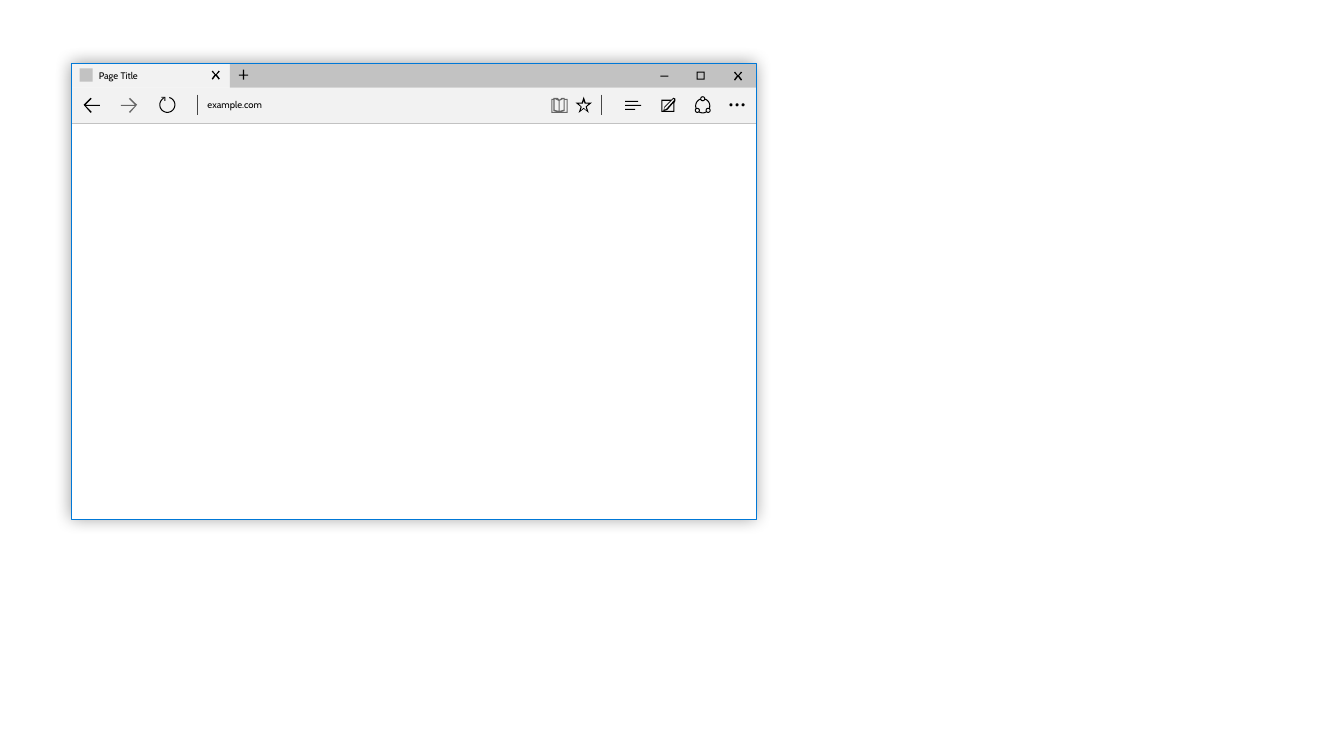
from math import cos, radians, sin

from lxml.etree import SubElement
from pptx import Presentation
from pptx.dml.color import RGBColor
from pptx.enum.shapes import MSO_CONNECTOR, MSO_SHAPE
from pptx.enum.text import MSO_ANCHOR, PP_ALIGN
from pptx.oxml.ns import qn
from pptx.util import Inches, Pt

BLACK = RGBColor(0x00, 0x00, 0x00)
WHITE = RGBColor(0xFF, 0xFF, 0xFF)
BAR = RGBColor(0xF2, 0xF2, 0xF2)
STRIP = RGBColor(0xC2, 0xC2, 0xC2)
MUTED = RGBColor(0x66, 0x66, 0x66)
DIVIDER = RGBColor(0x46, 0x46, 0x46)
ACCENT = RGBColor(0x00, 0x78, 0xD7)

LEFT, TOP, WIDTH, HEIGHT = 0.71, 0.63, 6.79, 4.52
STRIP_H, BAR_H, TAB_W = 0.24, 0.35, 1.57
BAR_TOP = TOP + STRIP_H
BAR_BOTTOM = BAR_TOP + BAR_H


def box(x1, y1, x2, y2):
    """Corner points of a rectangle."""
    return [(x1, y1), (x2, y1), (x2, y2), (x1, y2)]


def move(points, dx, dy):
    """Shift points by an offset."""
    return [(x + dx, y + dy) for x, y in points]


def arc(cx, cy, diameter, start=0, end=360):
    """Points along a circular arc, angles in degrees clockwise."""
    steps = 24
    angles = [radians(start + (end - start) * i / steps) for i in range(steps + 1)]
    return [(cx + diameter / 2 * cos(a), cy + diameter / 2 * sin(a)) for a in angles]


def band(cx, cy, diameter, start=0, end=360, thick=0.01):
    """Outline of a thin arc centred on the given diameter."""
    outer = arc(cx, cy, diameter + thick, start, end)
    return outer + arc(cx, cy, diameter - thick, end, start)


class Window:
    """Style and drawing methods for the browser window."""

    font = "Cabin"
    size = Pt(6.8)
    hairline = Pt(0.5)

    def __init__(self, s):
        """Collect the window in one group on the slide."""
        self.shapes = s.shapes.add_group_shape().shapes

    def paint(self, sp, fill=None, line=None):
        """Set fill and line, and drop the theme shadow."""
        sp.shadow.inherit = False
        if fill is None:
            sp.fill.background()
        else:
            sp.fill.solid()
            sp.fill.fore_color.rgb = fill
        if line is None:
            sp.line.fill.background()
        else:
            sp.line.color.rgb = line
            sp.line.width = self.hairline
        return sp

    def rect(self, x, y, w, h, fill=None, line=None):
        """Add a rectangle."""
        sp = self.shapes.add_shape(MSO_SHAPE.RECTANGLE, Inches(x), Inches(y), Inches(w), Inches(h))
        return self.paint(sp, fill, line)

    def glow(self, sp):
        """Give a shape a soft shadow on all sides."""
        effects = sp._element.spPr.find(qn("a:effectLst"))
        shadow = SubElement(effects, qn("a:outerShdw"), blurRad=str(Pt(12)), dist="0",
                            algn="ctr", rotWithShape="0")
        color = SubElement(shadow, qn("a:srgbClr"), val=str(BLACK))
        SubElement(color, qn("a:alpha"), val="40000")

    def icon(self, *contours, fill=BLACK):
        """Add one filled outline; inner contours become holes."""
        outlines = [[(Inches(x), Inches(y)) for x, y in c] for c in contours]
        builder = self.shapes.build_freeform(*outlines[0][0])
        for i, outline in enumerate(outlines):
            if i:
                builder.move_to(*outline[0])
            builder.add_line_segments(outline[1:], close=True)
        return self.paint(builder.convert_to_shape(), fill)

    def line(self, x1, y1, x2, y2, color):
        """Add a hairline."""
        cn = self.shapes.add_connector(MSO_CONNECTOR.STRAIGHT, Inches(x1), Inches(y1),
                                       Inches(x2), Inches(y2))
        cn.line.color.rgb = color
        cn.line.width = self.hairline
        SubElement(cn._element.spPr, qn("a:effectLst"))

    def add_text(self, tf, text):
        """Put one left-aligned run into a text frame."""
        tf.word_wrap = True
        p = tf.paragraphs[0]
        p.alignment = PP_ALIGN.LEFT
        r = p.add_run()
        r.text = text
        r.font.name, r.font.size, r.font.color.rgb = self.font, self.size, BLACK
        return p

    def textbox(self, x, y, w, h, text):
        """Add a text box."""
        tb = self.shapes.add_textbox(Inches(x), Inches(y), Inches(w), Inches(h))
        self.add_text(tb.text_frame, text).space_after = Pt(4)


prs = Presentation()
prs.slide_width, prs.slide_height = Inches(13.33), Inches(7.5)
s = prs.slides.add_slide(prs.slide_layouts[6])
win = Window(s)

win.glow(win.rect(LEFT, TOP, WIDTH, HEIGHT, WHITE))
win.rect(LEFT, BAR_TOP, WIDTH, BAR_H, BAR)

# Navigation
back = [(0.99, 1.04), (0.99, 1.05), (0.85, 1.05), (0.91, 1.11), (0.9, 1.12), (0.83, 1.04),
        (0.9, 0.97), (0.91, 0.98), (0.85, 1.04)]
win.icon(back)
win.icon([(2.19 - x, y) for x, y in back], fill=MUTED)
win.icon(band(1.66, 1.04, 0.15, -75, 240),
         [(1.6, 0.96), (1.64, 0.96), (1.64, 1), (1.63, 1), (1.63, 0.97), (1.6, 0.97)])
for x in (1.96, 5.96):
    win.line(x, 0.94, x, 1.14, DIVIDER)
win.textbox(1.96, 0.93, 3.5, 0.22, "example.com")

# Reading view and favourites
win.icon([(5.47, 0.98), (5.49, 0.98), (5.49, 0.97), (5.53, 0.97), (5.55, 0.99), (5.57, 0.97),
          (5.6, 0.97), (5.6, 0.98), (5.63, 0.98), (5.63, 1.12), (5.47, 1.12)],
         [(5.59, 0.98), (5.59, 1.09), (5.55, 1.1), (5.55, 1)],
         [(5.5, 0.98), (5.54, 1), (5.54, 1.1), (5.5, 1.09)],
         [(5.48, 0.99), (5.49, 0.99), (5.49, 1.1), (5.53, 1.11), (5.48, 1.11)],
         [(5.62, 0.99), (5.62, 1.11), (5.56, 1.11), (5.6, 1.1), (5.6, 0.99)], fill=MUTED)
win.icon([(5.82, 1.06), (5.84, 1.12), (5.79, 1.08), (5.74, 1.12), (5.76, 1.06), (5.71, 1.02),
          (5.77, 1.02), (5.79, 0.96), (5.81, 1.02), (5.87, 1.02)],
         [(5.82, 1.1), (5.81, 1.06), (5.84, 1.03), (5.8, 1.03), (5.79, 1), (5.78, 1.03),
          (5.74, 1.03), (5.77, 1.06), (5.76, 1.1), (5.79, 1.07)])

# Hub, note, share and more
win.icon(*[box(6.2, y, right, y + 0.01) for y, right in ((1, 6.33), (1.04, 6.36), (1.08, 6.3))])
win.icon([(6.56, 0.99), (6.66, 0.99), (6.68, 0.97), (6.7, 0.98), (6.7, 1), (6.69, 1.02),
          (6.69, 1.11), (6.56, 1.11)],
         [(6.68, 0.98), (6.69, 0.99), (6.61, 1.08), (6.59, 1.09), (6.59, 1.07)],
         [(6.57, 1), (6.65, 1), (6.59, 1.06), (6.58, 1.1), (6.62, 1.09), (6.68, 1.02),
          (6.68, 1.1), (6.57, 1.1)])
share = (6.97, 1.05)
angles = (-90, 40, 140, 270)
gap = 20
links = [band(*share, 0.14, a + gap, b - gap) for a, b in zip(angles, angles[1:])]
nodes = [band(*arc(*share, 0.14, a)[0], 0.04) for a in angles[:3]]
win.icon(*links, *nodes)
win.icon(*[arc(7.25 + 0.06 * i, 1.04, 0.03) for i in range(3)])

# Tab
tab = win.rect(LEFT, TOP, TAB_W, STRIP_H, BAR)
tab.text_frame.margin_left = Inches(0.27)
tab.text_frame.vertical_anchor = MSO_ANCHOR.MIDDLE
win.add_text(tab.text_frame, "Page Title")
cross = [(0.07, 0.09), (0.04, 0.05), (0.01, 0.09), (0, 0.08), (0.03, 0.04), (0, 0.01), (0.01, 0),
         (0.04, 0.04), (0.07, 0), (0.08, 0.01), (0.05, 0.04), (0.08, 0.08)]
win.icon(move(cross, 2.1, 0.7))
win.rect(0.79, 0.68, 0.13, 0.13, STRIP)

# Tab strip and window buttons
win.rect(LEFT + TAB_W, TOP, WIDTH - TAB_W, STRIP_H, STRIP)
win.icon([(2.46, 0.74), (2.46, 0.75), (2.42, 0.75), (2.42, 0.79), (2.41, 0.79), (2.41, 0.75),
          (2.37, 0.75), (2.37, 0.74), (2.41, 0.74), (2.41, 0.69), (2.42, 0.69), (2.42, 0.74)])
win.line(LEFT, BAR_BOTTOM, LEFT + WIDTH, BAR_BOTTOM, STRIP)
win.rect(6.55, 0.75, 0.08, 0.01, BLACK)
win.icon(box(6.91, 0.71, 6.99, 0.79), box(6.92, 0.72, 6.98, 0.78))
win.icon(move(cross, 7.28, 0.71))

win.rect(LEFT, TOP, WIDTH, HEIGHT, line=ACCENT)

prs.save("out.pptx")
